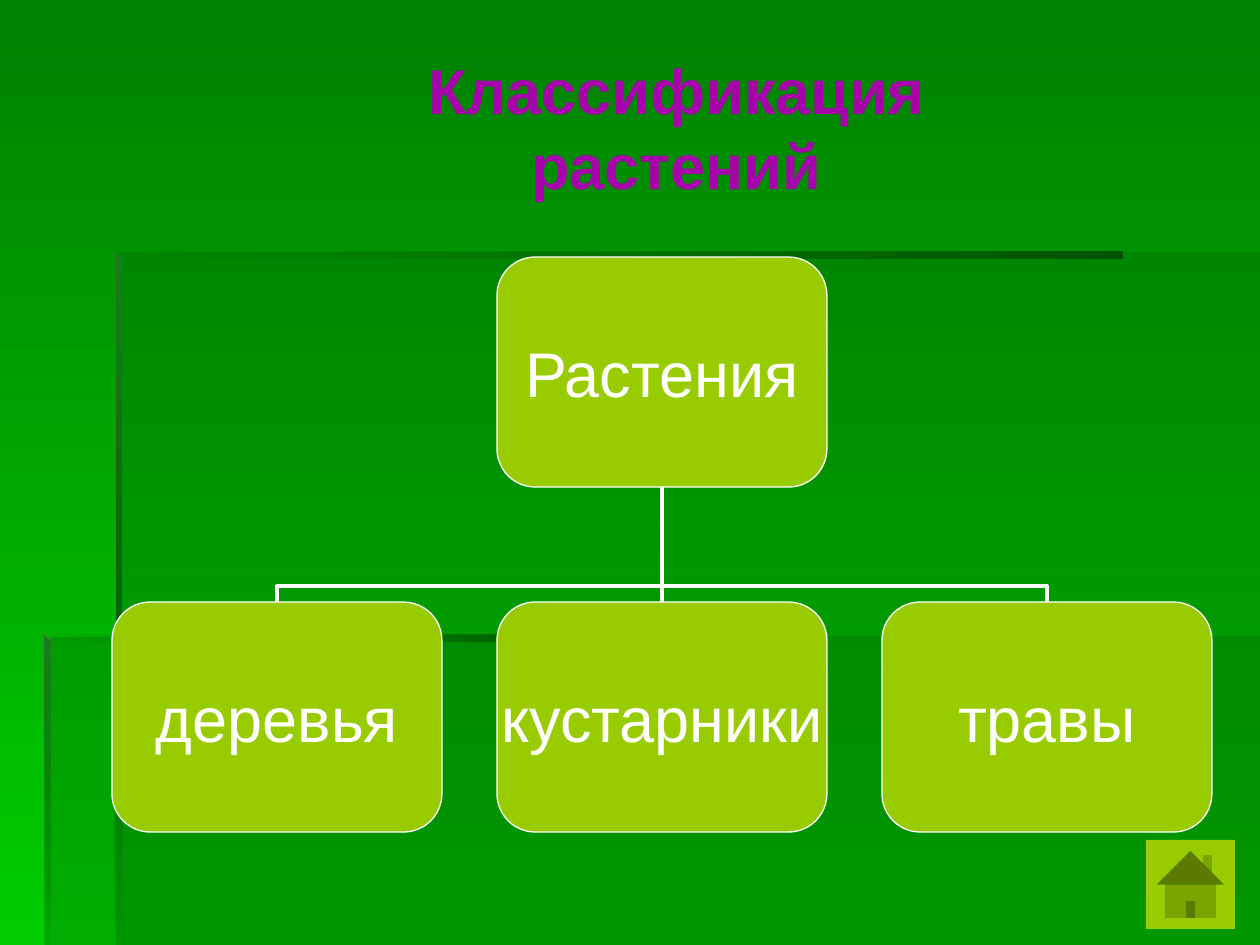
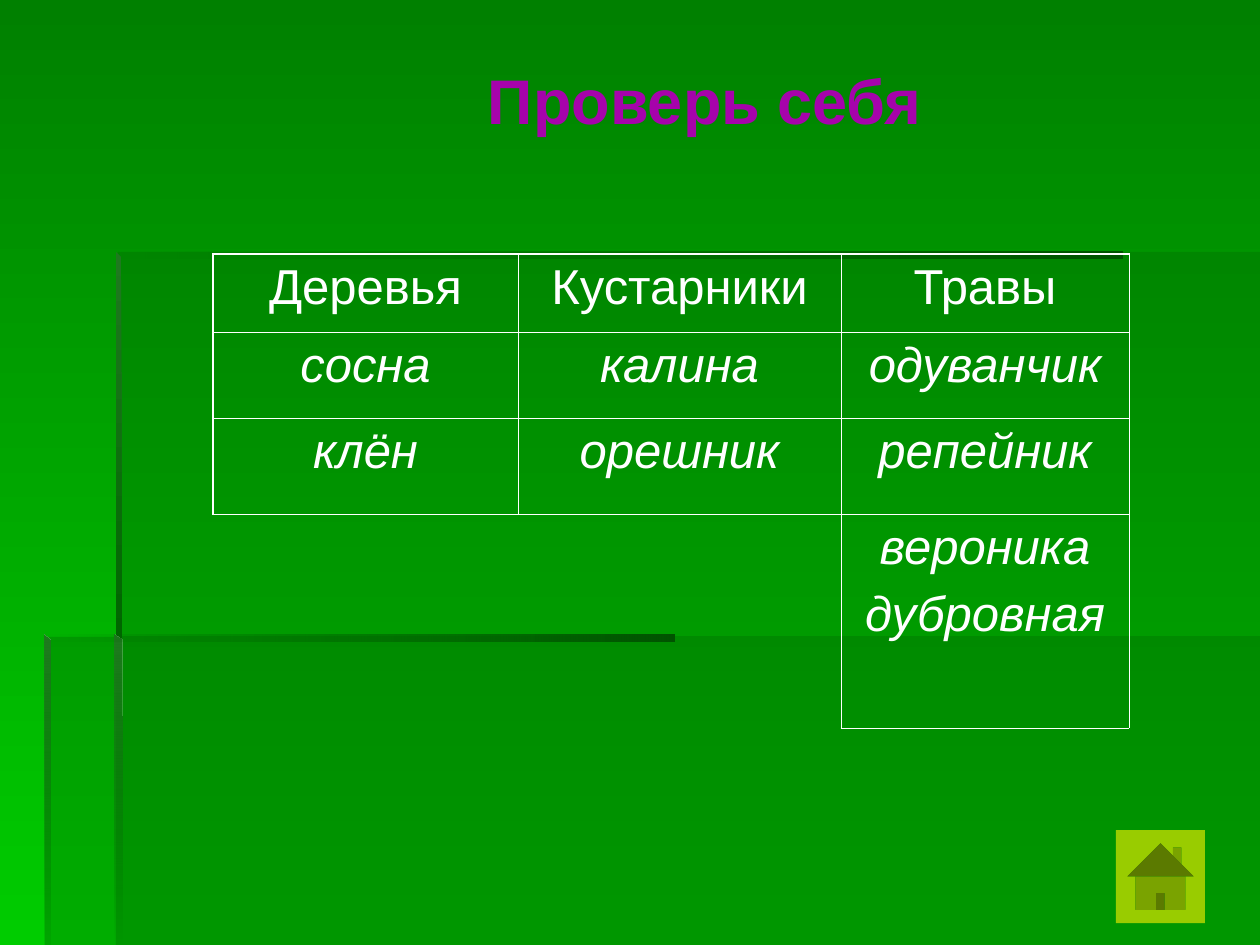
from lxml.etree import SubElement
from pptx import Presentation
from pptx.dml.color import RGBColor
from pptx.enum.shapes import MSO_CONNECTOR, MSO_SHAPE
from pptx.enum.text import MSO_ANCHOR, MSO_AUTO_SIZE, PP_ALIGN
from pptx.oxml.ns import qn
from pptx.util import Pt

EMU_PER_PX = 914400 / 126
SLIDE_W, SLIDE_H = 1260, 945

FONT = "Arial"
WHITE = RGBColor(0xFF, 0xFF, 0xFF)
PURPLE = RGBColor(0xA6, 0x03, 0xAB)
LIME = RGBColor(0x99, 0xCC, 0x00)
SKY_GREEN = RGBColor(0x00, 0x80, 0x00)
GRASS_GREEN = RGBColor(0x00, 0xCC, 0x00)
PANEL_GREEN = RGBColor(0x00, 0x66, 0x00)
SHADE_GREEN = RGBColor(0x00, 0x54, 0x00)
EDGE_GREEN = RGBColor(0x1F, 0x79, 0x1F)

RIGHTWARD, DOWNWARD = 0, 270

# Outline, then opacity in percent
PANELS = [
    ([(116, 636), (116, 945), (1260, 945), (1260, 636)], 30),
    ([(118, 637), (45, 637), (45, 945), (1260, 945), (1260, 252), (118, 252)], 30),
]
# Outline, gradient direction, (colour, opacity) at both ends
EDGES = [
    ([(116, 252), (116, 258), (1123, 258), (1123, 252)],
     RIGHTWARD, (PANEL_GREEN, 0), (SHADE_GREEN, 100)),
    ([(116, 252), (116, 643), (122, 643), (121, 257)],
     DOWNWARD, (EDGE_GREEN, 100), (PANEL_GREEN, 100)),
    ([(115, 945), (122, 945), (121, 640), (115, 635)],
     DOWNWARD, (EDGE_GREEN, 100), (PANEL_GREEN, 0)),
    ([(44, 635), (44, 641), (674, 641), (674, 635)],
     RIGHTWARD, (PANEL_GREEN, 0), (SHADE_GREEN, 100)),
    ([(44, 635), (44, 945), (50, 945), (50, 641)],
     DOWNWARD, (EDGE_GREEN, 100), (PANEL_GREEN, 10)),
]

NODE_W, NODE_H, NODE_STEP = 330, 230, 385
CHILD_LEFT, ROOT_TOP, CHILD_TOP = 112, 257, 602
PLANT_KINDS = ["деревья", "кустарники", "травы"]

ANSWERS = [
    ["Деревья", "Кустарники", "Травы"],
    ["сосна", "калина", "одуванчик"],
    ["клён", "орешник", "репейник"],
    ["", "", "вероника\nдубровная"],
]
ANSWER_COLS = [305, 323, 288]
ANSWER_ROWS = [78, 86, 96, 214]


def px(length):
    return round(length * EMU_PER_PX)


def box(*lengths):
    return [px(length) for length in lengths]


def write(frame, text, size=36, color=WHITE, bold=False, italic=False, gap=0):
    """Fill a text frame, one centred paragraph per line, gap points apart."""
    for number, line in enumerate(text.split("\n")):
        paragraph = frame.add_paragraph() if number else frame.paragraphs[0]
        paragraph.alignment = PP_ALIGN.CENTER
        paragraph.space_before = Pt(gap if number else 0)
        run = paragraph.add_run()
        run.text = line
        font = run.font
        font.name, font.size = FONT, Pt(size)
        font.bold, font.italic = bold, italic
        font.color.rgb = color


def paint_gradient(fill, angle, *colors):
    fill.gradient()
    fill.gradient_angle = angle
    for stop, color in zip(fill.gradient_stops, colors):
        stop.color.rgb = color


def set_opacity(shape, *percents):
    """Give the fill colours of a shape their opacity, in order."""
    for color, percent in zip(shape.element.spPr.iter(qn("a:srgbClr")), percents):
        if percent < 100:
            SubElement(color, qn("a:alpha"), val=str(percent * 1000))


def set_border(cell, side, width):
    """Draw one side of a cell in white, or clear it when width is 0."""
    line = SubElement(cell._tc.get_or_add_tcPr(), qn(f"a:ln{side}"),
                      w=str(Pt(width)))
    if width:
        fill = SubElement(line, qn("a:solidFill"))
        SubElement(fill, qn("a:srgbClr"), val=str(WHITE))
    else:
        SubElement(line, qn("a:noFill"))


class Deck:
    def __init__(self):
        self.deck = Presentation()
        self.deck.slide_width, self.deck.slide_height = box(SLIDE_W, SLIDE_H)
        self.layout = self.deck.slide_layouts.get_by_name("Title Only")
        paint_gradient(self.deck.slide_master.background.fill, DOWNWARD,
                       SKY_GREEN, GRASS_GREEN)
        self.slide = None

    def add_slide(self, title, left, top, width, height):
        self.slide = self.deck.slides.add_slide(self.layout)
        heading = self.slide.shapes.title
        heading.left, heading.top, heading.width, heading.height = box(
            left, top, width, height)
        frame = heading.text_frame
        frame.word_wrap = False
        frame.auto_size = MSO_AUTO_SIZE.NONE
        frame.vertical_anchor = MSO_ANCHOR.TOP
        write(frame, title, color=PURPLE, bold=True)

    def outline(self, points):
        builder = self.slide.shapes.build_freeform(*points[0], scale=EMU_PER_PX)
        builder.add_line_segments(points[1:], close=True)
        shape = builder.convert_to_shape()
        shape.shadow.inherit = False
        shape.line.fill.background()
        return shape

    def share_backdrop(self):
        """Build the panels and their edges, then move them to the layout."""
        for placeholder in list(self.layout.placeholders)[1:]:
            self.layout.shapes.element.remove(placeholder.element)
        backdrop = []
        for points, opacity in PANELS:
            panel = self.outline(points)
            panel.fill.solid()
            panel.fill.fore_color.rgb = PANEL_GREEN
            set_opacity(panel, opacity)
            backdrop.append(panel)
        for points, angle, start, end in EDGES:
            edge = self.outline(points)
            paint_gradient(edge.fill, angle, start[0], end[0])
            set_opacity(edge, start[1], end[1])
            backdrop.append(edge)
        for part in backdrop:
            self.layout.shapes.element.append(part.element)

    def preset(self, kind, *place):
        shape = self.slide.shapes.add_shape(kind, *box(*place))
        shape.shadow.inherit = False
        shape.fill.solid()
        shape.fill.fore_color.rgb = LIME
        shape.line.fill.background()
        return shape

    def node(self, label, left, top):
        shape = self.preset(MSO_SHAPE.ROUNDED_RECTANGLE, left, top, NODE_W, NODE_H)
        shape.line.color.rgb = WHITE
        shape.line.width = Pt(0.75)
        frame = shape.text_frame
        frame.margin_left = frame.margin_right = 0
        frame.margin_top = frame.margin_bottom = 0
        frame.word_wrap = False
        frame.vertical_anchor = MSO_ANCHOR.MIDDLE
        write(frame, label)

    def branch(self, child_x, child_y, root_x, root_y):
        """Join a child to its root; an elbow is turned to leave vertically."""
        run, rise = child_x - root_x, child_y - root_y
        if run:
            side = 1 if run > 0 else -1
            mid_x, mid_y = (child_x + root_x) / 2, (child_y + root_y) / 2
            dx, dy = side * rise / 2, abs(run) / 2
            line = self.slide.shapes.add_connector(
                MSO_CONNECTOR.ELBOW,
                *box(mid_x - dx, mid_y + dy, mid_x + dx, mid_y - dy))
            properties = line.element.spPr
            turn = 270 if side > 0 else 90
            properties.find(qn("a:xfrm")).set("rot", str(turn * 60000))
            guides = properties.find(qn("a:prstGeom")).find(qn("a:avLst"))
            SubElement(guides, qn("a:gd"), name="adj1", fmla="val 13600")
        else:
            line = self.slide.shapes.add_connector(
                MSO_CONNECTOR.STRAIGHT, *box(child_x, child_y, root_x, root_y))
        line.line.color.rgb = WHITE
        line.line.width = Pt(2.25)
        SubElement(line.element.spPr, qn("a:effectLst"))

    def home_button(self, left, top, width, height):
        self.preset(MSO_SHAPE.ACTION_BUTTON_HOME, left, top, width, height)

    def table(self, rows, left, top, widths, heights):
        table = self.slide.shapes.add_table(
            len(rows), len(widths),
            *box(left, top, sum(widths), sum(heights))).table
        table.first_row = table.horz_banding = False
        for column, width in zip(table.columns, widths):
            column.width = px(width)
        for row, height in zip(table.rows, heights):
            row.height = px(height)

        def filled(r, c):
            return 0 <= r < len(rows) and 0 <= c < len(widths) and rows[r][c]

        for r, row in enumerate(rows):
            for c, text in enumerate(row):
                cell = table.cell(r, c)
                for side, dr, dc in [("L", 0, -1), ("R", 0, 1),
                                     ("T", -1, 0), ("B", 1, 0)]:
                    outer = r + dr < 0 or c + dc < 0
                    drawn = text or filled(r + dr, c + dc)
                    set_border(cell, side, (1.08 if outer else 0.45) if drawn else 0)
                cell.fill.background()
                if text:
                    write(cell.text_frame, text, size=28, italic=r > 0, gap=7)

    def save(self):
        self.deck.save("out.pptx")


def main():
    deck = Deck()

    deck.add_slide("Классификация растений", 272, 45, 809, 113)
    deck.share_backdrop()
    root_left = CHILD_LEFT + NODE_STEP
    child_lefts = [CHILD_LEFT + i * NODE_STEP for i in range(len(PLANT_KINDS))]
    for left in reversed(child_lefts):
        deck.branch(left + NODE_W / 2, CHILD_TOP,
                    root_left + NODE_W / 2, ROOT_TOP + NODE_H)
    deck.node("Растения", root_left, ROOT_TOP)
    for kind, left in zip(PLANT_KINDS, child_lefts):
        deck.node(kind, left, CHILD_TOP)
    deck.home_button(1146, 840, 89, 89)

    deck.add_slide("Проверь себя", 422, 55, 566, 110)
    deck.table(ANSWERS, 213, 254, ANSWER_COLS, ANSWER_ROWS)
    deck.home_button(1116, 830, 89, 93)

    deck.save()


if __name__ == "__main__":
    main()
